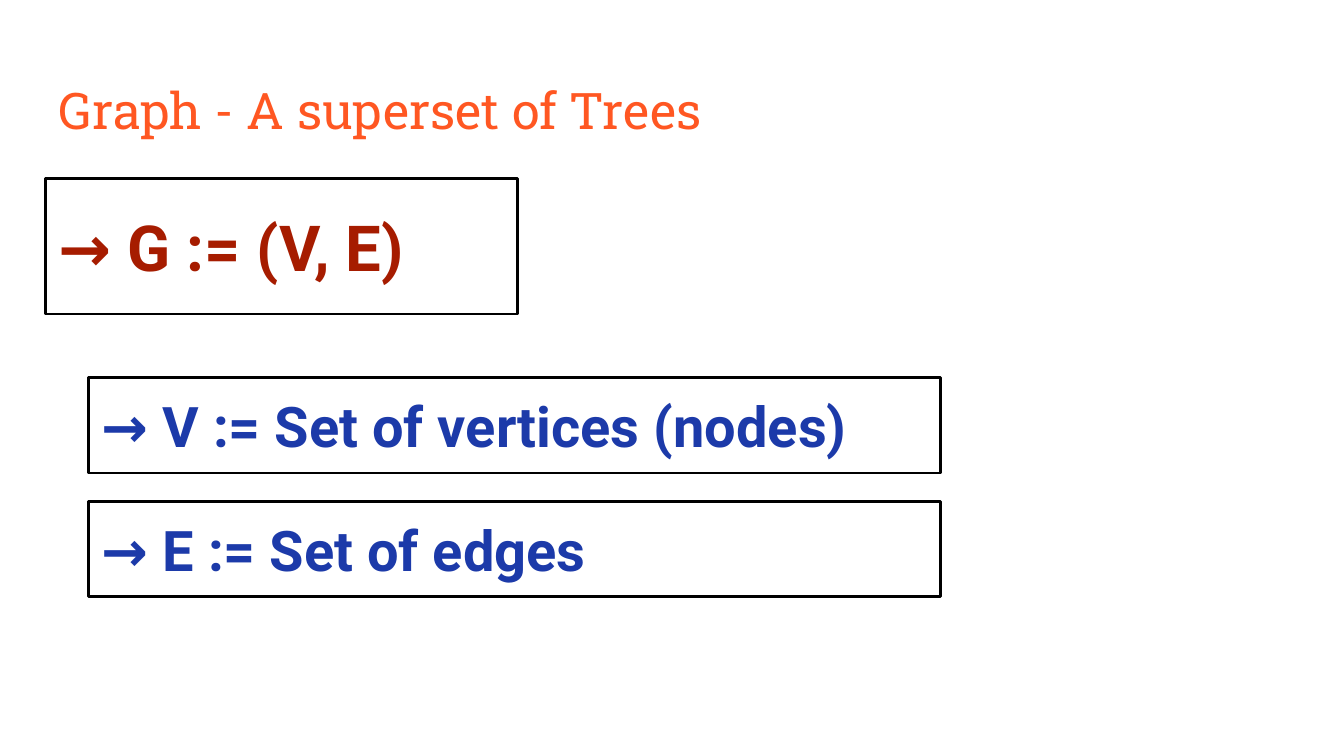
import dataclasses

import pptx
import pptx.dml.color
import pptx.enum.shapes
import pptx.enum.text
import pptx.util

Pt = pptx.util.Pt
Anchor = pptx.enum.text.MSO_ANCHOR


@dataclasses.dataclass(frozen=True)
class Theme:
    head: str = "FF5722"
    graph: str = "A61C00"
    member: str = "1C3AA9"
    line: str = "000000"
    head_size: float = 27
    graph_size: float = 34
    member_size: float = 30
    head_font: str = "Roboto Slab"
    body_font: str = "Roboto"


THEME = Theme()


def apply(item, form):
    for name, value in form.items():
        setattr(item, name, value)


def color(code):
    return pptx.dml.color.RGBColor.from_string(code)


def write(shape, text, anchor, tint, font):
    frame = shape.text_frame
    pad = Pt(7.2)
    apply(frame, {
        "word_wrap": True,
        "vertical_anchor": anchor,
        "margin_left": pad,
        "margin_right": pad,
        "margin_top": pad,
        "margin_bottom": pad,
    })
    para = frame.paragraphs[0]
    para.alignment = pptx.enum.text.PP_ALIGN.LEFT
    run = para.add_run()
    run.text = text
    apply(run.font, font)
    run.font.color.rgb = color(tint)


def add_title(slide, text, area):
    shape = slide.shapes.add_textbox(*map(Pt, area))
    font = {"name": THEME.head_font, "size": Pt(THEME.head_size)}
    write(shape, text, Anchor.TOP, THEME.head, font)


def add_box(slide, text, area, tint, size):
    kind = pptx.enum.shapes.MSO_SHAPE.RECTANGLE
    shape = slide.shapes.add_shape(kind, *map(Pt, area))
    shape.shadow.inherit = False
    shape.fill.background()
    shape.line.color.rgb = color(THEME.line)
    shape.line.width = Pt(1.5)
    font = {"name": THEME.body_font, "size": Pt(size), "bold": True}
    write(shape, text, Anchor.MIDDLE, tint, font)


def main():
    deck = pptx.Presentation()
    apply(deck, {"slide_width": Pt(720), "slide_height": Pt(405)})
    slide = deck.slides.add_slide(deck.slide_layouts[6])

    add_title(slide, "Graph - A superset of Trees", (24.5, 35.3, 671, 45.4))
    add_box(slide, "→ G := (V, E)", (24.5, 95.6, 252.8, 72.6),
            THEME.graph, THEME.graph_size)

    members = ["→ V := Set of vertices (nodes)", "→ E := Set of edges"]
    for row, text in enumerate(members):
        add_box(slide, text, (47.5, 202.4 + row * 66.3, 456.3, 51),
                THEME.member, THEME.member_size)

    deck.save("out.pptx")


if __name__ == "__main__":
    main()
